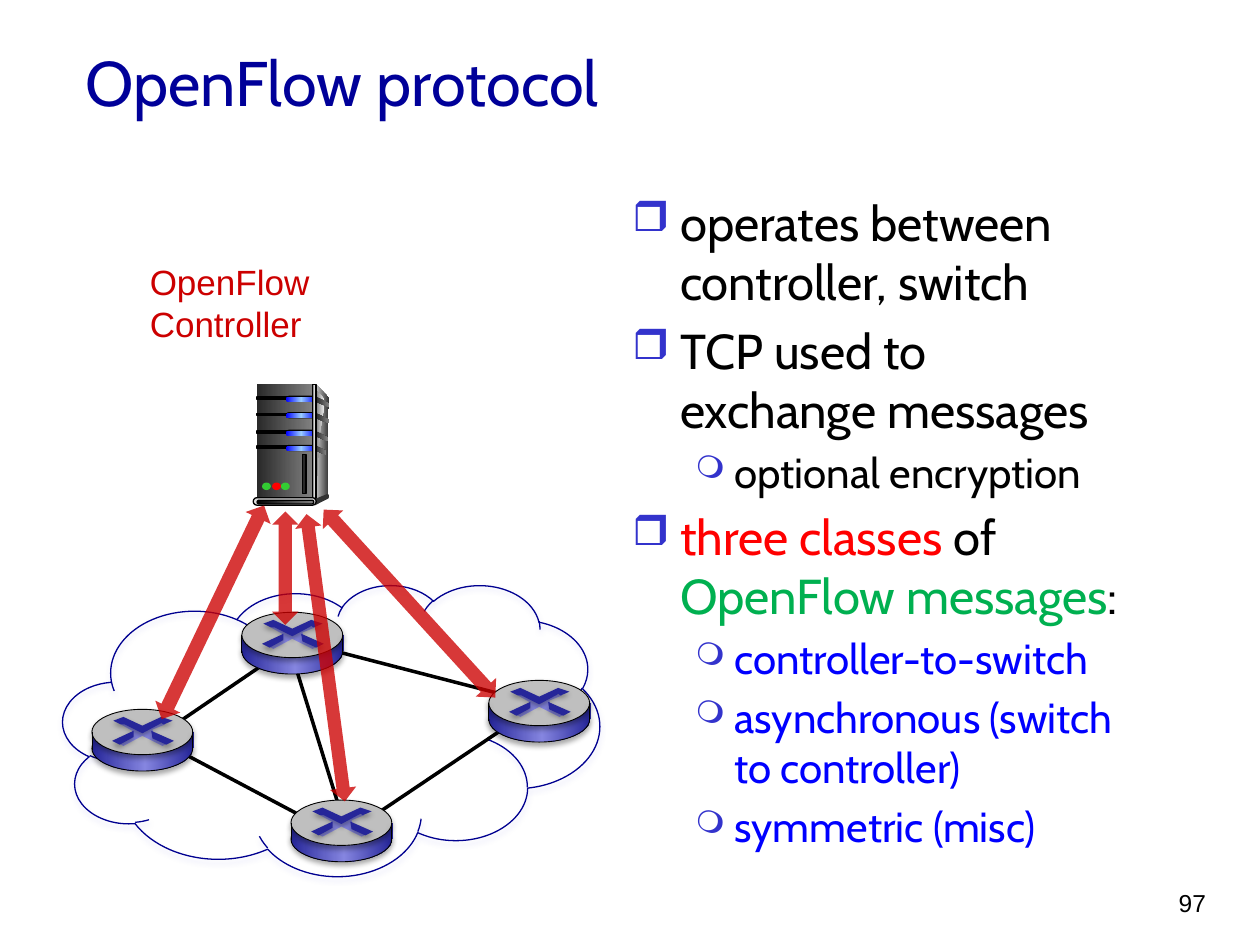
from typing import NamedTuple, Optional, Sequence, Union

from lxml.etree import SubElement
from pptx import Presentation
from pptx.dml.color import RGBColor
from pptx.enum.shapes import MSO_CONNECTOR, MSO_SHAPE
from pptx.enum.text import MSO_ANCHOR, MSO_AUTO_SIZE, PP_ALIGN
from pptx.oxml.ns import qn
from pptx.util import Pt

PX = 9144  # 100 px to the inch

BLACK = RGBColor(0x00, 0x00, 0x00)
CHARCOAL = RGBColor(0x29, 0x29, 0x29)
DARK_GRAY = RGBColor(0x33, 0x33, 0x33)
GRAY = RGBColor(0x80, 0x80, 0x80)
SILVER = RGBColor(0xBF, 0xBF, 0xBF)
LIGHT_GRAY = RGBColor(0xDD, 0xDD, 0xDD)
PALE_GRAY = RGBColor(0xF8, 0xF8, 0xF8)
TITLE_BLUE = RGBColor(0x00, 0x00, 0x99)
CLOUD_BLUE = RGBColor(0x00, 0x00, 0x90)
CLOUD_SHADOW = RGBColor(0xA5, 0xA5, 0xE9)
BULLET_BLUE = RGBColor(0x33, 0x33, 0xCC)
BLUE = RGBColor(0x00, 0x00, 0xFF)
SKY = RGBColor(0x99, 0xCC, 0xFF)
ROUTER_DARK = RGBColor(0x26, 0x26, 0x99)
ROUTER_LIGHT = RGBColor(0x85, 0x85, 0xE0)
RED = RGBColor(0xFF, 0x00, 0x00)
DARK_RED = RGBColor(0xCC, 0x00, 0x00)
LAMP_GREEN = RGBColor(0x33, 0xCC, 0x33)
GREEN = RGBColor(0x00, 0xB0, 0x50)


class Gradient(NamedTuple):
    stops: Sequence[tuple[int, RGBColor]]
    angle: int = 0


class Point(NamedTuple):
    x: int
    y: int


class Box(NamedTuple):
    left: int
    top: int
    width: int
    height: int


class ControlArrow(NamedTuple):
    box: Box
    rotation: float


class Bullet(NamedTuple):
    level: int
    runs: Sequence[tuple[str, RGBColor]]


class BulletStyle(NamedTuple):
    symbol: str
    scale: int
    margin: int
    hanging: int
    size: int
    space_before: float


Fill = Optional[Union[RGBColor, Gradient]]

SLOT_FILL = Gradient([(0, BLUE), (50, SKY), (100, BLUE)])
METAL = Gradient([(0, CHARCOAL), (100, GRAY)])
ROUTER_STOPS = [(0, ROUTER_DARK), (53, ROUTER_LIGHT), (100, ROUTER_DARK)]

ROUTERS = [Point(231, 635), Point(388, 540), Point(73, 563), Point(192, 486)]
LINKS = [
    (Point(123, 586), Point(255, 496)),
    (Point(123, 586), Point(255, 656)),
    (Point(233, 524), Point(268, 637)),
    (Point(263, 516), Point(406, 553)),
    (Point(284, 656), Point(406, 574)),
]
CONTROL_ARROWS = [
    ControlArrow(Box(248, 407, 21, 230), 352.4),
    ControlArrow(Box(216, 406, 21, 90), 0),
    ControlArrow(Box(314, 378, 22, 202), 317.6),
    ControlArrow(Box(158, 392, 22, 188), 25.6),
]
CROSS = [(40, 21), (25, 29), (21, 27), (33, 22), (32, 17), (23, 12), (26, 11),
         (40, 17), (54, 11), (58, 12), (48, 16), (50, 23), (60, 27), (56, 29)]
CHEVRON = [(17, 9), (25, 6), (40, 13), (55, 6), (64, 9), (57, 12), (55, 11),
           (40, 19), (26, 12), (23, 12)]
RIGHT_ARM = [(47, 17), (65, 25), (59, 28), (48, 23)]
LEFT_ARM = [(33, 17), (33, 22), (22, 28), (16, 25)]

BULLET_STYLES = [BulletStyle("❒", 85, 38, 38, 28, 5.6),
                 BulletStyle("❍", 75, 81, 31, 24, 4.8)]
BULLETS = [
    Bullet(0, [("operates between controller, switch", BLACK)]),
    Bullet(0, [("TCP used to exchange messages", BLACK)]),
    Bullet(1, [("optional encryption", BLACK)]),
    Bullet(0, [("three classes ", RED), ("of ", BLACK),
               ("OpenFlow messages", GREEN), (":", BLACK)]),
    Bullet(1, [("controller-to-switch", BLUE)]),
    Bullet(1, [("asynchronous (switch to controller)", BLUE)]),
    Bullet(1, [("symmetric (misc)", BLUE)]),
]


def scaled(values: Sequence[int]) -> list[int]:
    return [value * PX for value in values]


def add_color(parent, color: RGBColor, opacity: int = 100):
    element = SubElement(parent, qn("a:srgbClr"), val=str(color))
    if opacity < 100:
        SubElement(element, qn("a:alpha"), val=str(opacity * 1000))


def add_shadow(effects, color: RGBColor, opacity: int = 35):
    shadow = SubElement(effects, qn("a:outerShdw"), blurRad=str(Pt(3.1)),
                        dist=str(Pt(1.8)), dir="5400000", rotWithShape="0")
    add_color(shadow, color, opacity)


def paint(shape, fill: Fill, line: Optional[RGBColor] = None, line_width: float = 0.75,
          shadow: Optional[RGBColor] = None):
    if fill is None:
        shape.fill.background()
    elif isinstance(fill, Gradient):
        shape.fill.gradient()
        shape.fill.gradient_angle = fill.angle
        stops = shape._element.spPr.find(".//" + qn("a:gsLst"))
        stops[:] = []
        for position, color in fill.stops:
            add_color(SubElement(stops, qn("a:gs"), pos=str(position * 1000)), color)
    else:
        shape.fill.solid()
        shape.fill.fore_color.rgb = fill
    if line is None:
        shape.line.fill.background()
    else:
        shape.line.color.rgb = line
        shape.line.width = Pt(line_width)
    shape.shadow.inherit = False
    if shadow is not None:
        add_shadow(shape._element.spPr.find(qn("a:effectLst")), shadow)


def draw_shape(shapes, kind: MSO_SHAPE, box: Sequence[int], fill: Fill, **style):
    shape = shapes.add_shape(kind, *scaled(box))
    if kind == MSO_SHAPE.ROUNDED_RECTANGLE:
        shape.adjustments[0] = 0.5
    paint(shape, fill, **style)
    return shape


def draw_outline(shapes, points: Sequence[tuple[int, int]], fill: Fill,
                 origin: Point = Point(0, 0), **style):
    placed = [(origin.x + x, origin.y + y) for x, y in points]
    builder = shapes.build_freeform(*placed[0], scale=PX)
    builder.add_line_segments(placed[1:], close=True)
    paint(builder.convert_to_shape(), fill, **style)


def draw_line(shapes, start: Point, end: Point, width: float, shadow: bool = False):
    line = shapes.add_connector(MSO_CONNECTOR.STRAIGHT, *scaled(start + end))
    line.line.color.rgb = BLACK
    line.line.width = Pt(width)
    effects = SubElement(line._element.spPr, qn("a:effectLst"))
    if shadow:
        add_shadow(effects, BLACK, 38)


def draw_server(shapes):
    rectangle, capsule, ellipse = (MSO_SHAPE.RECTANGLE, MSO_SHAPE.ROUNDED_RECTANGLE,
                                   MSO_SHAPE.OVAL)
    draw_outline(shapes, [(251, 305), (261, 316), (260, 393), (249, 397)],
                 Gradient([(0, LIGHT_GRAY), (100, DARK_GRAY)]))
    draw_shape(shapes, rectangle, (204, 305, 44, 92), METAL)
    draw_outline(shapes, [(251, 310), (255, 314), (258, 318), (254, 343), (252, 369),
                          (251, 394)], Gradient([(0, GRAY), (100, PALE_GRAY)]))
    for left, top in ((251, 315), (251, 328), (250, 342), (249, 353)):
        draw_outline(shapes, [(0, 0), (10, 5), (10, 8), (0, 4)], METAL, Point(left, top))
    for top in (315, 328, 342, 354):
        draw_shape(shapes, rectangle, (204, top, 25, 2), BLACK, line=BLACK)
        draw_shape(shapes, capsule, (227, top - 1, 24, 5), BLACK)
        draw_shape(shapes, capsule, (227, top, 24, 4), SLOT_FILL)
    draw_shape(shapes, rectangle, (248, 305, 3, 92),
               Gradient([(0, DARK_GRAY), (50, LIGHT_GRAY), (100, DARK_GRAY)]), line=BLACK)
    draw_shape(shapes, ellipse, (259, 392, 2, 4), DARK_GRAY)
    draw_outline(shapes, [(250, 396), (250, 401), (260, 396), (260, 392)], DARK_GRAY)
    draw_shape(shapes, capsule, (201, 395, 50, 6), LIGHT_GRAY, line=BLACK)
    draw_shape(shapes, capsule, (204, 397, 45, 3),
               Gradient([(0, BLACK), (100, GRAY)]), line=BLACK)
    for left, color in ((208, LAMP_GREEN), (216, RED), (223, LAMP_GREEN)):
        draw_shape(shapes, ellipse, (left, 383, 7, 6), color)
    draw_shape(shapes, rectangle, (240, 361, 3, 31), CHARCOAL, line=BLACK)


def draw_router(shapes, origin: Point):
    x, y = origin
    rim = dict(line=BLACK, line_width=0.5, shadow=BLACK)
    draw_shape(shapes, MSO_SHAPE.OVAL, (x, y + 13, 80, 36), Gradient(ROUTER_STOPS), **rim)
    draw_shape(shapes, MSO_SHAPE.RECTANGLE, (x, y + 18, 81, 13), Gradient(ROUTER_STOPS, 180))
    draw_shape(shapes, MSO_SHAPE.OVAL, (x, y, 80, 36), SILVER, **rim)
    draw_outline(shapes, CROSS, ROUTER_LIGHT, origin)
    for points in (CHEVRON, RIGHT_ARM, LEFT_ARM):
        draw_outline(shapes, points, ROUTER_DARK, origin, shadow=BLACK)
    for side in (x, x + 80):
        draw_line(shapes, Point(side, y + 32), Point(side, y + 18), 0.5, shadow=True)


def draw_control_arrow(shapes, arrow: ControlArrow):
    shape = draw_shape(shapes, MSO_SHAPE.UP_DOWN_ARROW, arrow.box, DARK_RED)
    shape.rotation = arrow.rotation
    color = shape._element.spPr.find(qn("a:solidFill")).find(qn("a:srgbClr"))
    SubElement(color, qn("a:alpha"), val="78000")


def write(paragraph, text: str, *, size: int, color: RGBColor, font: str = "Cabin",
          align: PP_ALIGN = PP_ALIGN.LEFT):
    paragraph.alignment = align
    run = paragraph.add_run()
    run.text = text
    run.font.size = Pt(size)
    run.font.name = font
    run.font.color.rgb = color


def add_text_frame(shapes, box: Box):
    frame = shapes.add_textbox(*scaled(box)).text_frame
    frame.word_wrap = True
    return frame


def write_bullets(frame):
    for index, bullet in enumerate(BULLETS):
        style = BULLET_STYLES[bullet.level]
        paragraph = frame.add_paragraph() if index else frame.paragraphs[0]
        paragraph.level = bullet.level
        if index:
            paragraph.space_before = Pt(style.space_before)
        properties = paragraph._p.get_or_add_pPr()
        properties.set("marL", str(style.margin * PX))
        properties.set("indent", str(-style.hanging * PX))
        add_color(SubElement(properties, qn("a:buClr")), BULLET_BLUE)
        SubElement(properties, qn("a:buSzPct"), val=str(style.scale * 1000))
        SubElement(properties, qn("a:buChar"), char=style.symbol)
        for text, color in bullet.runs:
            write(paragraph, text, size=style.size, color=color)


def main():
    presentation = Presentation()
    presentation.slide_width, presentation.slide_height = scaled((1000, 750))
    slide = presentation.slides.add_slide(presentation.slide_layouts[5])
    shapes = slide.shapes

    title = shapes.title
    title.left, title.top, title.width, title.height = scaled((58, 2, 850, 125))
    title.text_frame.auto_size = MSO_AUTO_SIZE.NONE
    title.text_frame.vertical_anchor = MSO_ANCHOR.MIDDLE
    write(title.text_frame.paragraphs[0], "OpenFlow protocol", size=36, color=TITLE_BLUE)
    write_bullets(add_text_frame(shapes, Box(492, 148, 417, 508)))

    draw_shape(shapes, MSO_SHAPE.CLOUD, (50, 464, 426, 231), None,
               line=CLOUD_BLUE, shadow=CLOUD_SHADOW)
    for start, end in LINKS:
        draw_line(shapes, start, end, 2)
    draw_server(shapes)
    label = add_text_frame(shapes, Box(109, 202, 269, 44))
    write(label.paragraphs[0], "OpenFlow Controller", size=20, color=DARK_RED, font="Arial")
    for origin in ROUTERS:
        draw_router(shapes, origin)
    for arrow in CONTROL_ARROWS:
        draw_control_arrow(shapes, arrow)

    number = add_text_frame(shapes, Box(893, 700, 74, 50))
    write(number.paragraphs[0], "97", size=14, color=BLACK, font="Arial",
          align=PP_ALIGN.RIGHT)
    presentation.save("out.pptx")


if __name__ == "__main__":
    main()
